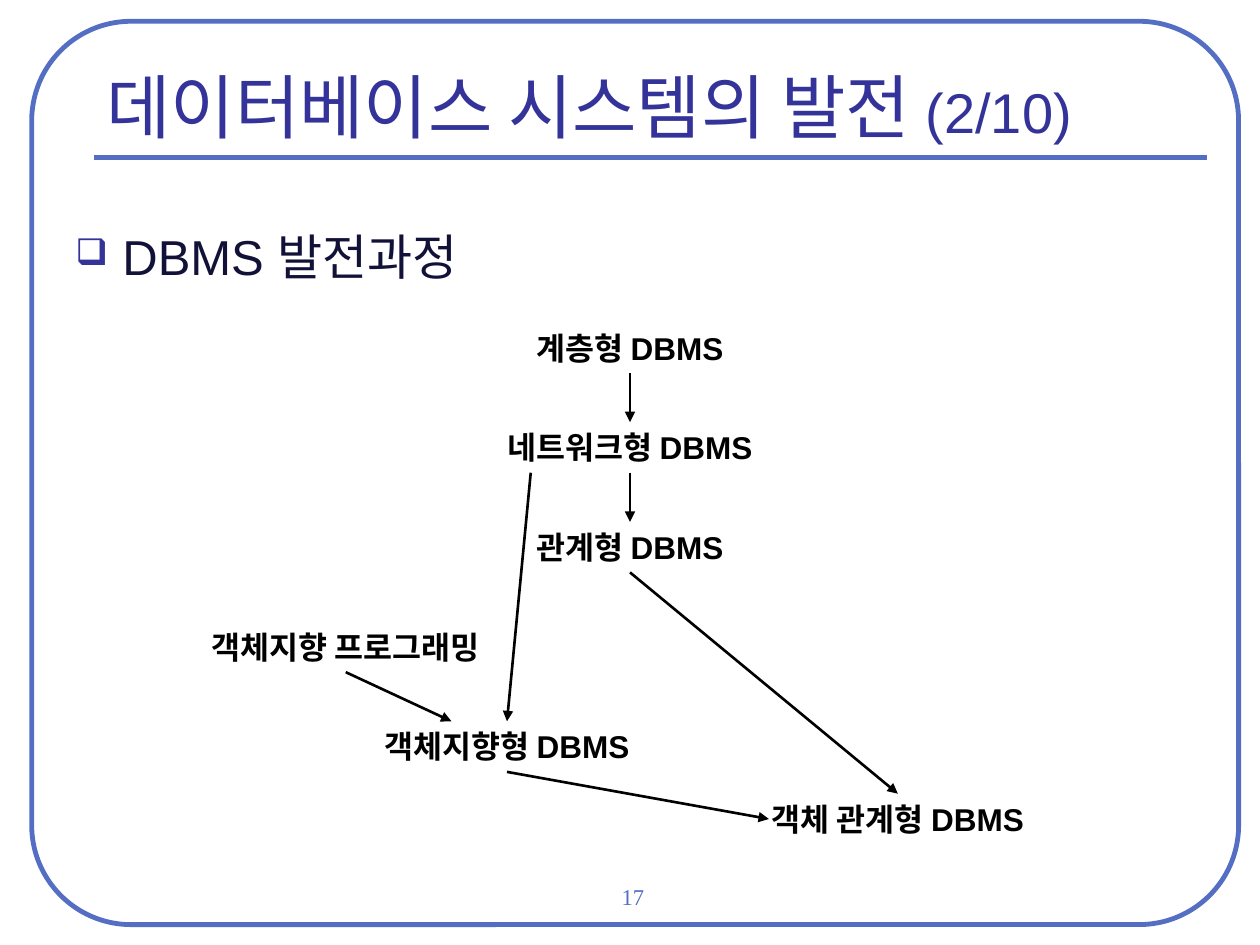
import pptx
import pptx.util
import pptx.dml.color
import pptx.enum.shapes
import pptx.enum.text
import pptx.oxml.ns
import lxml.etree

Cm, Pt = pptx.util.Cm, pptx.util.Pt
qn = pptx.oxml.ns.qn
ALIGN = pptx.enum.text.PP_ALIGN
ANCHOR = pptx.enum.text.MSO_ANCHOR
COLORS = {"frame": "536EC3", "title": "333399", "body": "121238", "node": "000000"}
RGB = {name: pptx.dml.color.RGBColor.from_string(value) for name, value in COLORS.items()}

deck = pptx.Presentation()
deck.slide_width, deck.slide_height = Cm(25.4), Cm(19.05)
slide = deck.slides.add_slide(deck.slide_layouts[6])
shapes = slide.shapes


def add_text(text, left, top, width, height, size, color, align=ALIGN.LEFT, font="Arial"):
    box = shapes.add_textbox(Cm(left), Cm(top), Cm(width), Cm(height))
    frame = box.text_frame
    frame.word_wrap = True
    frame.text = text
    para = frame.paragraphs[0]
    para.alignment = align
    run = para.runs[0]
    run.font.size, run.font.name = Pt(size), font
    run.font.color.rgb = RGB[color]
    return frame


def add_line(start, end, width, color):
    line = shapes.add_connector(pptx.enum.shapes.MSO_CONNECTOR.STRAIGHT,
                                *[Cm(value) for value in (*start, *end)])
    line.line.width = Pt(width)
    line.line.color.rgb = RGB[color]
    lxml.etree.SubElement(line._element.spPr, qn("a:effectLst"))
    return line


# Frame and title rule
frame = shapes.add_shape(pptx.enum.shapes.MSO_SHAPE.ROUNDED_RECTANGLE,
                         Cm(0.64), Cm(0.43), Cm(24.33), Cm(18.21))
frame.adjustments[0] = 0.11
frame.shadow.inherit = False
frame.fill.background()
frame.line.width = Pt(2.75)
frame.line.color.rgb = RGB["frame"]
add_line((1.9, 3.18), (24.33, 3.18), 2.75, "frame")

# Page number
page = add_text("17", 9.9, 17.73, 5.72, 0.84, 12.9, "frame", ALIGN.CENTER, "Times New Roman")
page.paragraphs[0].line_spacing = 0.9

# Title
title = add_text("데이터베이스 시스템의 발전 ", 1.9, 1.07, 22.23, 2.11, 40, "title")
title.vertical_anchor = ANCHOR.MIDDLE
count = title.paragraphs[0].add_run()
count.text = "(2/10)"
count.font.size, count.font.name = Pt(32), "Arial"
count.font.color.rgb = RGB["title"]

# Bullet line
body = add_text("DBMS 발전과정", 1.27, 4.45, 22.86, 12.57, 28, "body")
para = body.paragraphs[0]
para.space_before = Pt(7)
props = para._p.get_or_add_pPr()
props.set("marL", str(Cm(0.95)))
props.set("indent", str(-Cm(0.95)))
tint = lxml.etree.SubElement(props, qn("a:buClr"))
lxml.etree.SubElement(tint, qn("a:srgbClr"), val=COLORS["title"])
lxml.etree.SubElement(props, qn("a:buSzPct"), val="75000")
lxml.etree.SubElement(props, qn("a:buChar"), char="❑")

# Systems: text, centre, top, width
FIRST, STEP, HIGH = 6.5, 2.01, 1.02
tops = [FIRST + STEP * row for row in range(5)] + [16]
mid, left, low, right = 12.7, 6.97, 10.22, 18.1
nodes = [
    ("계층형 DBMS", mid, tops[0], 6),
    ("네트워크형 DBMS", mid, tops[1], 6),
    ("관계형 DBMS", mid, tops[2], 6),
    ("객체 관계형 DBMS", right, tops[5], 6),
    ("객체지향 프로그래밍", left, tops[3], 8.66),
    ("객체지향형 DBMS", low, tops[4], 8.66),
]
for text, centre, top, width in nodes:
    node = add_text(text, centre - width / 2, top, width, HIGH, 18, "node", ALIGN.CENTER)
    node.paragraphs[0].runs[0].font.bold = True

# Arrows run from the foot of one system to the next
ends = [top + HIGH for top in tops]
arrows = [
    ((mid, ends[0]), (mid, tops[1])),
    ((mid, ends[1]), (mid, tops[2])),
    ((10.7, ends[1]), (low, tops[4])),
    ((left, ends[3]), (9.1, tops[4])),
    ((mid, ends[2]), (right, tops[5])),
    ((low, ends[4]), (15.5, tops[5] + HIGH / 2)),
]
for start, end in arrows:
    arrow = add_line(start, end, 1.5, "node")
    lxml.etree.SubElement(arrow.line._get_or_add_ln(), qn("a:tailEnd"), type="triangle")

deck.save("out.pptx")
